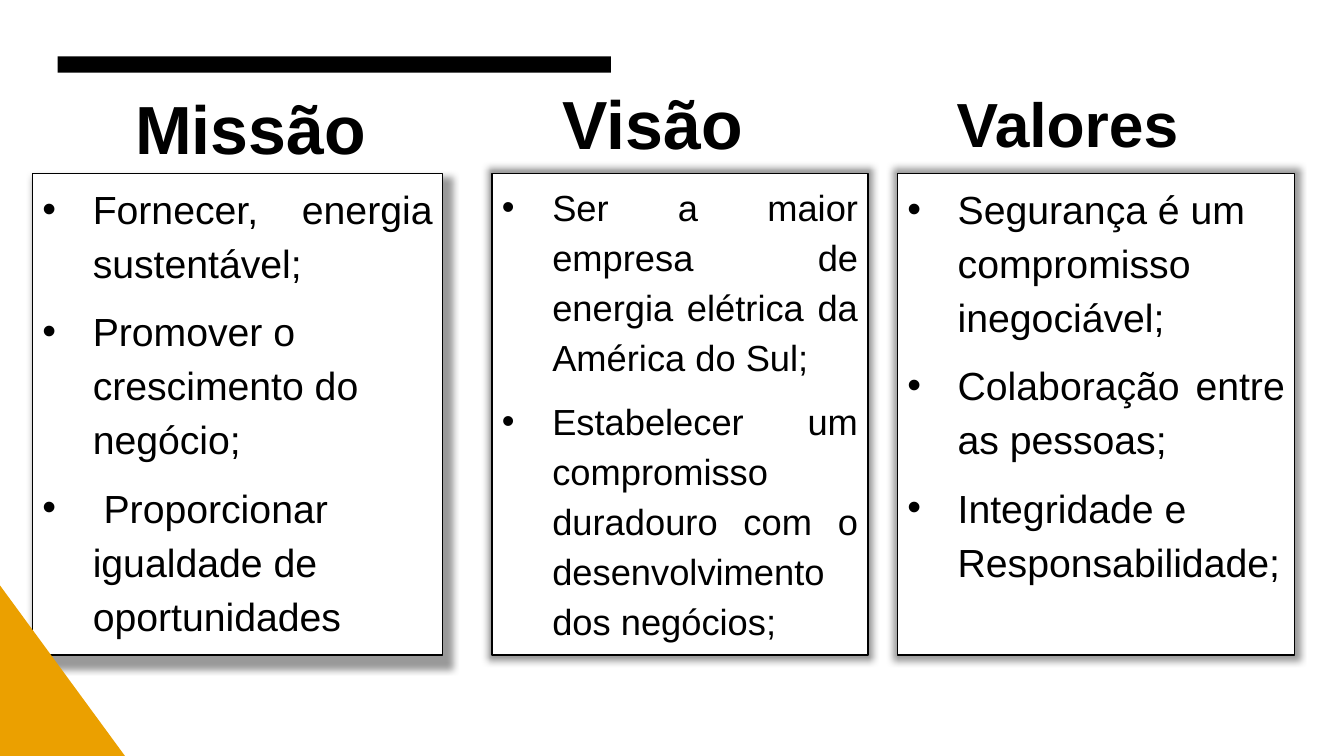
from dataclasses import dataclass

from lxml import etree
from pptx import Presentation
from pptx import util as u
from pptx.dml.color import RGBColor
from pptx.enum import shapes, text
from pptx.oxml.ns import qn


@dataclass(frozen=True)
class Theme:
    font: str = "Arial"
    ink: str = "000000"
    paper: str = "FFFFFF"
    accent: str = "EBA000"
    heading: float = 48.6
    heading_small: float = 44.5
    body: float = 28
    body_small: float = 25.9


THEME = Theme()
WIDTH, HEIGHT = u.Inches(13.33), u.Inches(7.5)
LEFT, JUSTIFY = text.PP_ALIGN.LEFT, text.PP_ALIGN.JUSTIFY
MIDDLE, BOTTOM = text.MSO_ANCHOR.MIDDLE, text.MSO_ANCHOR.BOTTOM

# Rows as (top, height), in percent of the slide's height
HEADING_ROW = (10.8, 12.13)
CARD_ROW = (22.93, 63.73)
HEADING_WIDTH = 18.98


def area(left, width, row):
    """Turn percentages of the slide into left, top, width, height."""
    top, height = row
    return (int(WIDTH * left / 100), int(HEIGHT * top / 100),
            int(WIDTH * width / 100), int(HEIGHT * height / 100))


def place(sp, box):
    sp.left, sp.top, sp.width, sp.height = box


def color(value):
    return RGBColor.from_string(value)


def add_block(s, kind, box, fill):
    sp = s.shapes.add_shape(kind, *box)
    sp.shadow.inherit = False
    sp.fill.solid()
    sp.fill.fore_color.rgb = color(fill)
    sp.line.fill.background()
    return sp


def write(p, words, size, bold=False, align=LEFT, spacing=1.0, before=0):
    p.alignment = align
    p.line_spacing = spacing
    p.space_before = u.Pt(before)
    r = p.add_run()
    r.text = words
    r.font.name = THEME.font
    r.font.size = u.Pt(size)
    r.font.bold = bold
    r.font.color.rgb = color(THEME.ink)


def add_bullet(p):
    pPr = p._p.get_or_add_pPr()
    pPr.set("marL", str(u.Inches(0.5)))
    pPr.set("indent", str(-u.Inches(0.5)))
    etree.SubElement(pPr, qn("a:buFont"), typeface=THEME.font)
    etree.SubElement(pPr, qn("a:buChar"), char="•")


def add_glow_shadow(sp):
    """Soft shadow, slightly larger than the card and centred on it."""
    sp.shadow.inherit = False
    effects = sp._element.spPr.find(qn("a:effectLst"))
    shadow = etree.SubElement(effects, qn("a:outerShdw"), blurRad=str(u.Pt(5)),
                              sx="102000", sy="102000", algn="ctr", rotWithShape="0")
    tint = etree.SubElement(shadow, qn("a:srgbClr"), val=THEME.ink)
    etree.SubElement(tint, qn("a:alpha"), val="40000")


def setup_frame(tf, anchor):
    tf.word_wrap = True
    tf.auto_size = text.MSO_AUTO_SIZE.NONE
    tf.vertical_anchor = anchor


def fill_heading(sp, words, size, anchor=MIDDLE, spacing=0.9):
    setup_frame(sp.text_frame, anchor)
    write(sp.text_frame.paragraphs[0], words, size, bold=True, spacing=spacing)


def add_heading(s, left, words, size):
    sp = s.shapes.add_textbox(*area(left, HEADING_WIDTH, HEADING_ROW))
    fill_heading(sp, words, size)


def fill_card(sp, items, size):
    """Style a card and list its items, given as (words, alignment)."""
    sp.fill.solid()
    sp.fill.fore_color.rgb = color(THEME.paper)
    sp.line.color.rgb = color(THEME.ink)
    sp.line.width = u.Pt(1)
    add_glow_shadow(sp)
    tf = sp.text_frame
    setup_frame(tf, text.MSO_ANCHOR.TOP)
    for i, (words, align) in enumerate(items):
        p = tf.add_paragraph() if i else tf.paragraphs[0]
        add_bullet(p)
        write(p, words, size, align=align, spacing=1.15, before=10 if i else 0)


def add_card(s, left, width, items, size):
    box = area(left, width, CARD_ROW)
    fill_card(add_block(s, shapes.MSO_SHAPE.RECTANGLE, box, THEME.paper), items, size)


def main():
    prs = Presentation()
    prs.slide_width, prs.slide_height = WIDTH, HEIGHT
    s = prs.slides.add_slide(prs.slide_layouts[1])
    title, mission = s.placeholders

    place(title, area(9.3, HEADING_WIDTH, HEADING_ROW))
    fill_heading(title, "Missão", THEME.heading, anchor=BOTTOM, spacing=1.0)
    place(mission, area(2.4, 30.53, CARD_ROW))
    fill_card(mission, [
        ("Fornecer, energia sustentável;", JUSTIFY),
        ("Promover o crescimento do negócio;", LEFT),
        (" Proporcionar igualdade de oportunidades", LEFT),
    ], THEME.body)

    add_block(s, shapes.MSO_SHAPE.RECTANGLE, area(4.28, 41.18, (7.47, 2.13)), THEME.ink)
    add_block(s, shapes.MSO_SHAPE.RIGHT_TRIANGLE, area(-0.15, 9.45, (77.07, 22.93)),
              THEME.accent)

    add_heading(s, 41.11, "Visão", THEME.heading)
    add_card(s, 36.61, 27.98, [
        ("Ser a maior empresa de energia elétrica da América do Sul;", JUSTIFY),
        ("Estabelecer um compromisso duradouro com o desenvolvimento dos negócios;",
         JUSTIFY),
    ], THEME.body_small)

    add_heading(s, 70.44, "Valores", THEME.heading_small)
    add_card(s, 66.77, 29.56, [
        ("Segurança é um compromisso inegociável;", LEFT),
        ("Colaboração entre as pessoas;", JUSTIFY),
        ("Integridade e Responsabilidade;", LEFT),
    ], THEME.body)

    prs.save("out.pptx")


if __name__ == "__main__":
    main()
